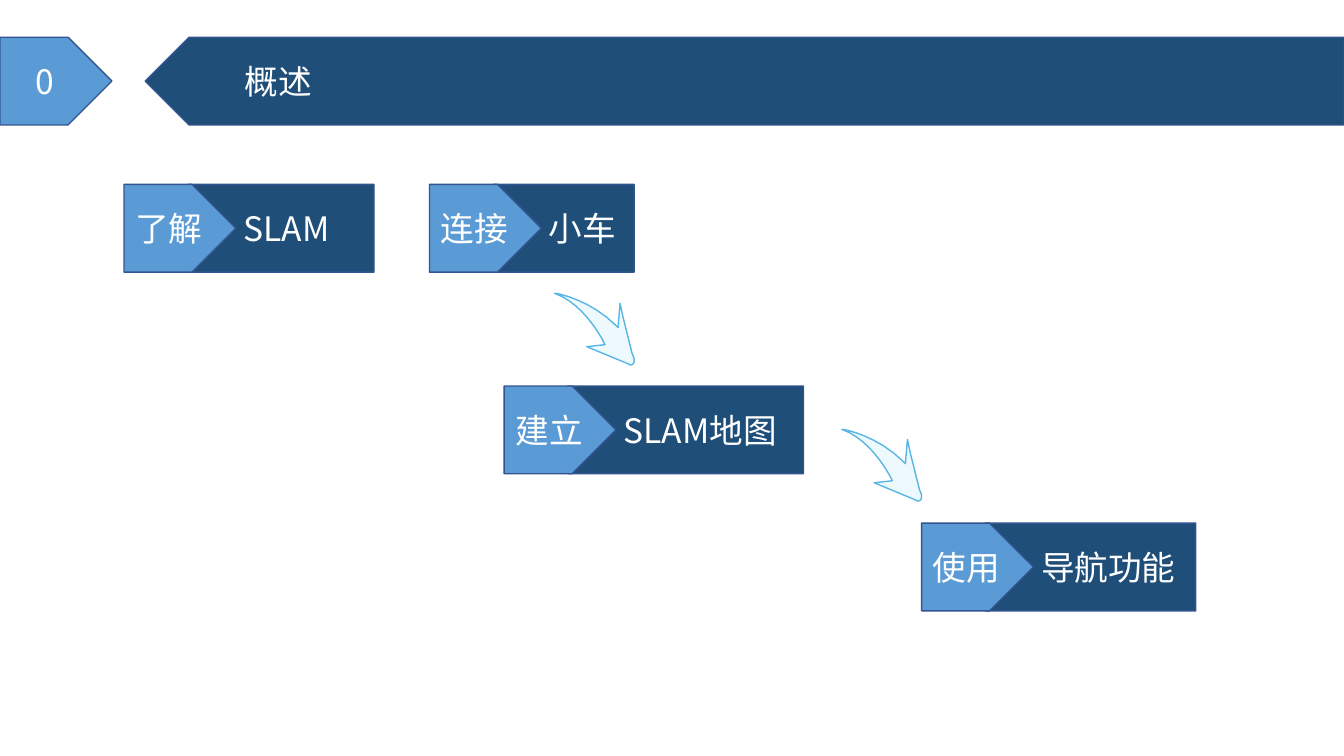
from lxml.etree import SubElement
from pptx import Presentation
from pptx.dml.color import RGBColor
from pptx.enum.shapes import MSO_SHAPE
from pptx.enum.text import MSO_ANCHOR, MSO_AUTO_SIZE, PP_ALIGN
from pptx.oxml.ns import qn
from pptx.util import Inches, Pt

FONT = "Noto Sans CJK SC"
NAVY, BLUE, EDGE = "1F4E79", "5B9BD5", "325491"
ICE, SKY, WHITE = "D4F1F9", "58B6E5", "FFFFFF"
SLIDE_W, SLIDE_H = 13.33, 7.5
PLATE_H, TAG_W = 0.87, 1.11
INDENT = 0.67  # two characters at 24 pt

# Curved arrow in inches: one point is a line, three points are a Bezier curve.
ARROW_START = (0.75, 0.71)
ARROW_PARTS = [
    [(0.76, 0.71), (0.77, 0.71), (0.78, 0.70)],
    [(0.79, 0.69), (0.79, 0.67), (0.79, 0.65)],
    [(0.77, 0.60)], [(0.68, 0.24)], [(0.65, 0.10)], [(0.63, 0.34)], [(0.61, 0.32)],
    [(0.36, 0.07), (0.04, 0.00), (0.00, 0.00)],
    [(0.20, 0.07), (0.36, 0.26), (0.47, 0.45)],
    [(0.50, 0.51)], [(0.32, 0.53)], [(0.73, 0.70)],
    [(0.74, 0.71), (0.75, 0.71), (0.75, 0.71)],
]


def rgb(color):
    return RGBColor.from_string(color)


def paint(sp, fill, line):
    sp.shadow.inherit = False
    sp.fill.solid()
    sp.fill.fore_color.rgb = rgb(fill)
    sp.line.color.rgb = rgb(line)
    sp.line.width = Pt(1)


def write(sp, text, align, indent=0):
    tf = sp.text_frame
    tf.word_wrap = True
    tf.auto_size = MSO_AUTO_SIZE.NONE
    tf.vertical_anchor = MSO_ANCHOR.MIDDLE
    p = tf.paragraphs[0]
    p.text = text
    p.alignment = align
    p.font.size = Pt(24)
    p.font.name = FONT
    p.font.color.rgb = rgb(WHITE)
    pPr = p._p.get_or_add_pPr()
    pPr.set("marL", str(Inches(indent)))
    pPr.set("indent", "0")
    SubElement(pPr.find(qn("a:defRPr")), qn("a:ea"), typeface=FONT)


def add_plate(slide, x, y, w, fill):
    sp = slide.shapes.add_shape(MSO_SHAPE.PENTAGON, Inches(x), Inches(y),
                                Inches(w), Inches(PLATE_H))
    paint(sp, fill, EDGE)
    return sp


def add_tag(slide, x, y, text):
    write(add_plate(slide, x, y, TAG_W, BLUE), text, PP_ALIGN.CENTER)


def add_bar(slide, x, y, w):
    """Dark plate whose tip points left."""
    bar = add_plate(slide, x, y, w, NAVY)
    bar._element.spPr.xfrm.set("flipH", "1")
    return bar


def add_header(slide, y, number, text):
    x = 1.44
    add_tag(slide, 0, y, number)
    add_bar(slide, x, y, SLIDE_W - x)
    title = slide.shapes.title
    tip = PLATE_H / 4
    title.left, title.top = Inches(x + tip), Inches(y)
    title.width, title.height = Inches(SLIDE_W - x - tip), Inches(PLATE_H)
    write(title, text, PP_ALIGN.LEFT, INDENT)
    slide.shapes._spTree.append(title._element)  # in front of the bar


def add_step(slide, x, y, w, verb, topic):
    overlap = 0.2
    bar = add_bar(slide, x + overlap, y, w - overlap)
    bar.text_frame.margin_right = 0
    write(bar, topic, PP_ALIGN.LEFT, INDENT)
    add_tag(slide, x, y, verb)


def bezier(p0, p1, p2, p3, n=8):
    for t in (i / n for i in range(1, n + 1)):
        u = 1 - t
        yield tuple(u**3 * a + 3 * u * u * t * b + 3 * u * t * t * c + t**3 * d
                    for a, b, c, d in zip(p0, p1, p2, p3))


def add_curved_arrow(slide, x, y):
    points = [ARROW_START]
    for part in ARROW_PARTS:
        points += part if len(part) == 1 else bezier(points[-1], *part)
    points = [(Inches(x + px), Inches(y + py)) for px, py in points]
    builder = slide.shapes.build_freeform(*points[0])
    builder.add_line_segments(points[1:], close=True)
    arrow = builder.convert_to_shape()
    paint(arrow, ICE, SKY)
    color = arrow._element.spPr.find(qn("a:solidFill"))[0]
    SubElement(color, qn("a:alpha"), val="41000")


def main():
    prs = Presentation()
    prs.slide_width, prs.slide_height = Inches(SLIDE_W), Inches(SLIDE_H)
    slide = prs.slides.add_slide(prs.slide_layouts[5])
    add_header(slide, 0.37, "0", "概述")
    for step in [
        (1.23, 1.83, 2.48, "了解", "SLAM"),
        (4.26, 1.83, 2.03, "连接", "小车"),
        (5.00, 3.83, 2.97, "建立", "SLAM地图"),
        (9.14, 5.19, 2.72, "使用", "导航功能"),
    ]:
        add_step(slide, *step)
    for x, y in [(5.5, 2.91), (8.35, 4.26)]:
        add_curved_arrow(slide, x, y)
    prs.save("out.pptx")


if __name__ == "__main__":
    main()
